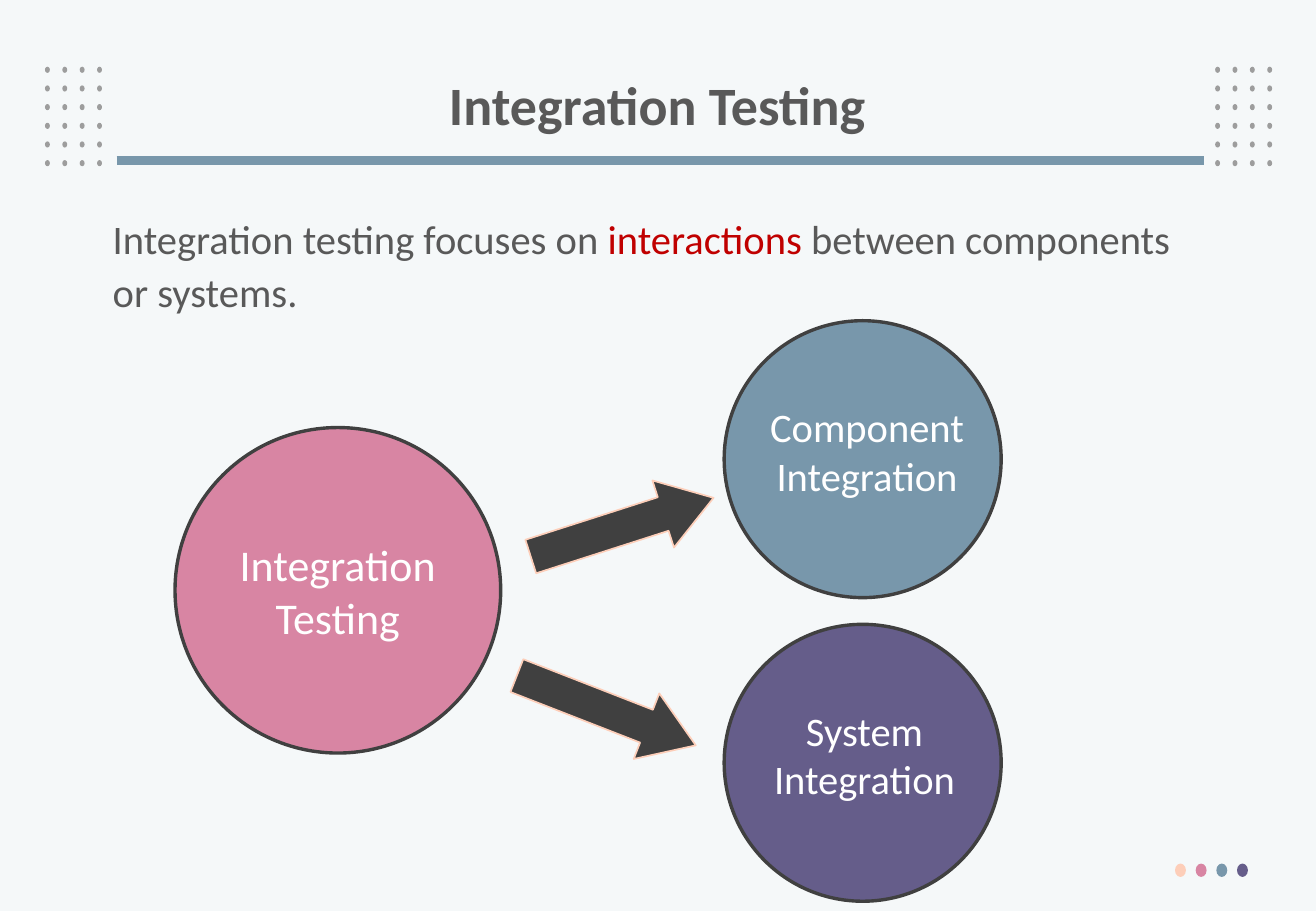
"""Build the Integration Testing slide on a grid of 100 columns by 100 rows."""
from itertools import product
from lxml.etree import SubElement
from pptx import Presentation
from pptx.dml.color import RGBColor
from pptx.enum.shapes import MSO_CONNECTOR, MSO_SHAPE
from pptx.enum.text import MSO_ANCHOR, PP_ALIGN
from pptx.oxml.ns import qn
from pptx.util import Inches, Pt

THEME = {
    "font": "Calibri", "title": Pt(32), "hub": Pt(26), "text": Pt(24),
    "back": "F5F8F9", "dot": "9D9D9D", "grey": "595959", "dark": "404040",
    "red": "C00000", "white": "FFFFFF", "peach": "FDCEB9", "pink": "D885A3",
    "blue": "7897AB", "purple": "655D8A",
}

prs = Presentation()
prs.slide_width, prs.slide_height = Inches(10.83), Inches(7.5)
COL, ROW = prs.slide_width / 100, prs.slide_height / 100
s = prs.slides.add_slide(prs.slide_layouts[5])
s.background.fill.solid()
s.background.fill.fore_color.rgb = RGBColor.from_string(THEME["back"])


def draw(kind, x, y, w, h, fill, line=None, width=0):
    sp = s.shapes.add_shape(kind, int(x * COL), int(y * ROW), int(w * COL), int(h * ROW))
    sp.shadow.inherit = False
    sp.fill.solid()
    sp.fill.fore_color.rgb = RGBColor.from_string(THEME[fill])
    if line:
        sp.line.color.rgb = RGBColor.from_string(THEME[line])
        sp.line.width = Pt(width)
    else:
        sp.line.fill.background()
    return sp


def write(sp, paragraphs, size, frame=None, para=None, bold=False):
    tf = sp.text_frame
    for name, value in {"word_wrap": True, **(frame or {})}.items():
        setattr(tf, name, value)
    for i, runs in enumerate(paragraphs):
        p = tf.add_paragraph() if i else tf.paragraphs[0]
        for name, value in (para or {}).items():
            setattr(p, name, value)
        for text, color in runs:
            r = p.add_run()
            r.text = text
            for name, value in {"name": THEME["font"], "size": THEME[size], "bold": bold}.items():
                setattr(r.font, name, value)
            r.font.color.rgb = RGBColor.from_string(THEME[color])


for left, row, col in product((3.42, 92.34), range(6), range(4)):
    draw(MSO_SHAPE.OVAL, left + 1.32 * col, 7.33 + 2.05 * row, 0.37, 0.67, "dot")

rule = s.shapes.add_connector(
    MSO_CONNECTOR.STRAIGHT, int(8.86 * COL), int(17.6 * ROW), int(91.51 * COL), int(17.6 * ROW))
rule.line.color.rgb = RGBColor.from_string(THEME["blue"])
rule.line.width = Pt(5.25)
SubElement(rule._element.spPr, qn("a:effectLst"))

for i, color in enumerate(("peach", "pink", "blue", "purple")):
    draw(MSO_SHAPE.OVAL, 89.29 + 1.57 * i, 94.8, 0.83, 1.47, color)

title = s.shapes.title
title_place = {"left": 6.83 * COL, "top": 5.33 * ROW, "width": 86.24 * COL, "height": 13.07 * ROW}
for name, value in title_place.items():
    setattr(title, name, int(value))
write(title, [[("Integration Testing", "grey")]], "title",
      {"vertical_anchor": MSO_ANCHOR.MIDDLE},
      {"alignment": PP_ALIGN.CENTER, "line_spacing": 0.9}, True)

body = s.shapes.add_textbox(int(7.66 * COL), int(22.27 * ROW), int(85.5 * COL), int(15.6 * ROW))
write(body, [[("Integration testing focuses on ", "grey"), ("interactions", "red"),
              (" between components or systems.", "grey")]], "text",
      para={"line_spacing": 1.1, "space_before": Pt(8.1)})

hub = draw(MSO_SHAPE.OVAL, 13.3, 46.93, 24.75, 35.73, "pink", "dark", 2)
write(hub, [[("Integration", "white")], [("Testing", "white")]], "hub",
      {"vertical_anchor": MSO_ANCHOR.MIDDLE}, {"alignment": PP_ALIGN.CENTER})

for y, color, label, label_x, arrow_x, arrow_y, angle in (
    (35.2, "blue", "Component Integration", 54.39, 39.98, 54, 342.2),
    (68.53, "purple", "System Integration", 54.2, 38.78, 74.13, 21.3),
):
    draw(MSO_SHAPE.OVAL, 55.03, y, 21.05, 30.4, color, "dark", 2)
    arrow = draw(MSO_SHAPE.RIGHT_ARROW, arrow_x, arrow_y, 14.59, 7.73, "dark", "peach", 1)
    arrow.rotation = angle
    arrow.adjustments[1] = 0.75
    box = s.shapes.add_textbox(
        int(label_x * COL), int((y + 8.27) * ROW), int(22.99 * COL), int(12.13 * ROW))
    write(box, [[(label, "white")]], "text", para={"alignment": PP_ALIGN.CENTER})

prs.save("out.pptx")
